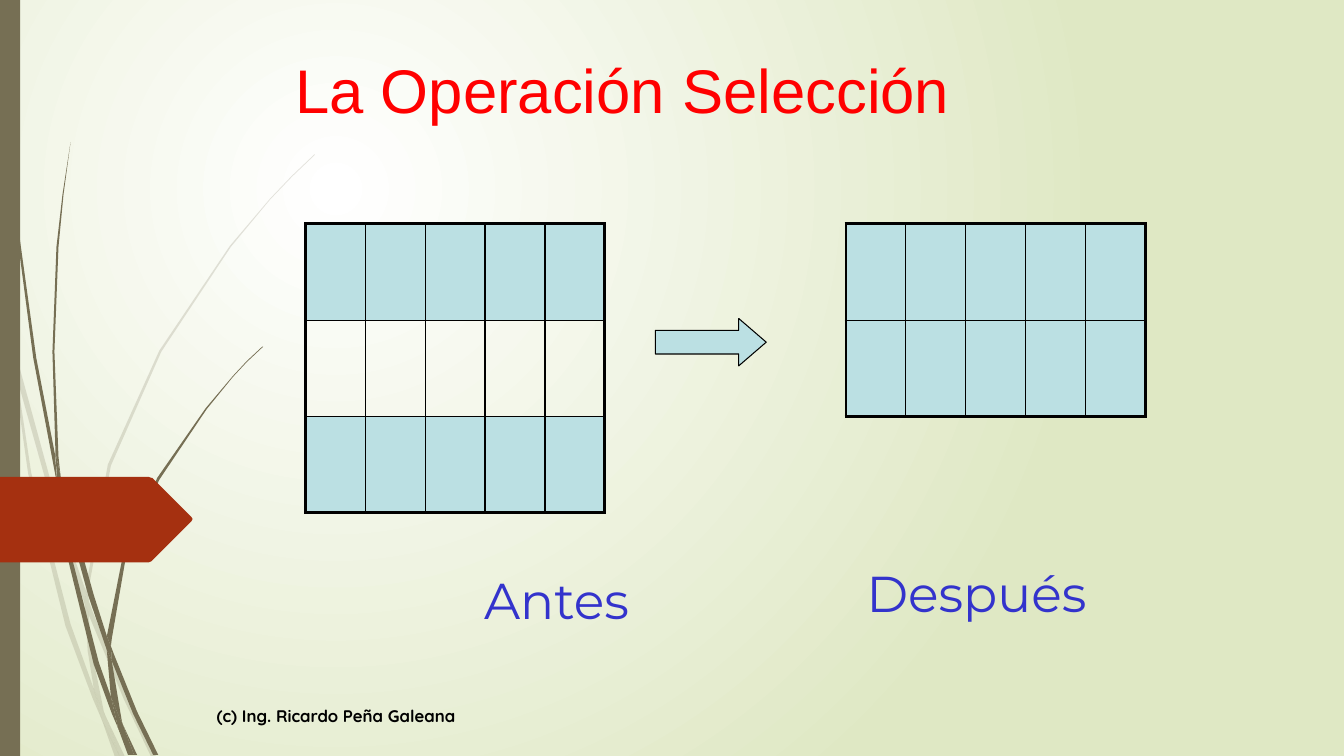
import lxml.etree
import pptx
import pptx.dml.color
import pptx.enum.shapes
import pptx.enum.text
import pptx.oxml.ns
import pptx.util

COLUMNS, ROWS = 1333, 750
WIDTH, HEIGHT = pptx.util.Inches(13.33), pptx.util.Inches(7.5)

# Outlines of the grass blades, in columns and rows of the grid
PALE_BLADES = [
    "11,350 9,322 0,282 0,299 10,344",
    "58,522 84,599 85,586 62,520 14,345 17,376",
    "92,607 88,596 88,610 123,694 150,751 155,751 127,692",
    "119,751 124,751 105,711",
    "93,683 70,619 31,469 17,376 11,350 28,470 65,621 92,693 101,714 99,707",
    "84,599 87,646 93,683 96,692 105,711 103,706 91,646 88,610 88,608",
    "88,584 110,462 160,349 229,245 268,198 290,175 312,154 312,153 289,175 "
    "268,197 228,244 158,348 107,461 85,584 85,586 88,596",
    "101,714 114,751 119,751",
    "88,608 88,610 88,596 85,586 84,599",
    "96,692 93,683 99,707 101,714 119,751 105,711",
]
DARK_BLADES = [
    "7,110 17,233 33,355 56,477 57,481 55,457 55,453 36,355 19,232 8,109 "
    "5,48 4,0 3,0 4,48",
    "88,592 106,645 106,633 106,631 93,590 60,472 64,505",
    "113,649 110,641 111,656 132,708 152,749 157,749 136,706",
    "110,691 98,657 72,556 64,505 57,477 68,557 93,659 111,708 117,722 116,717",
    "60,472 58,453 54,349 58,245 63,193 70,141 62,193 56,245 52,349 55,449",
    "133,749 136,749 122,719",
    "57,477 64,505 60,472 55,449 55,453",
    "111,633 125,552 158,476 205,406 231,374 245,359 261,344 260,344 245,358 "
    "231,373 204,405 156,474 122,551 106,631 110,641",
    "117,722 127,749 131,749",
    "106,645 110,691 116,706 122,719 121,716 111,656 109,651",
    "106,645 109,651 111,656 110,641 106,631 106,633",
    "116,706 110,691 116,717 117,722 130,749 133,749 122,719",
]
PAGE_MARKER = "147,558 150,557 151,556 190,517 191,515 190,513 151,474 150,474 147,473 0,473 0,558"


def color(value):
    return pptx.dml.color.RGBColor.from_string(value)


def add_element(parent, tag, **attributes):
    return lxml.etree.SubElement(parent, pptx.oxml.ns.qn(tag), attributes)


def insert_line(parent, position, tag, width, value):
    line = add_element(parent, tag, w=str(pptx.util.Pt(width)))
    add_element(add_element(line, "a:solidFill"), "a:srgbClr", val=value)
    parent.insert(position, line)


def set_alpha(element, percent):
    for hue in element.xpath(".//a:solidFill/a:srgbClr"):
        add_element(hue, "a:alpha", val=str(percent * 1000))


class SlideBuilder:
    ink, blue, olive, violet = "000000", "BBE0E3", "766F54", "3333CC"
    thin, thick = 1, 2.25

    def __init__(self, deck):
        self.page = deck.slides.add_slide(deck.slide_layouts[5])
        self.shapes = self.page.shapes

    def place(self, left, top, width, height):
        return [pptx.util.Emu(round(size)) for size in (
            left * WIDTH / COLUMNS, top * HEIGHT / ROWS,
            width * WIDTH / COLUMNS, height * HEIGHT / ROWS)]

    def background(self, inner, outer):
        fill = self.page.background.fill
        fill.gradient()
        for stop, value in zip(fill.gradient_stops, (inner, outer)):
            stop.color.rgb = color(value)
        gradient = self.page.element.xpath(".//p:bg//a:gradFill")[0]
        for linear in gradient.xpath("a:lin"):
            gradient.remove(linear)
        circle = add_element(gradient, "a:path", path="circle")
        add_element(circle, "a:fillToRect", l="50000", t="50000", r="100000", b="100000")

    def paint(self, shape, fill, line=None):
        shape.shadow.inherit = False
        shape.fill.solid()
        shape.fill.fore_color.rgb = color(fill)
        if line:
            shape.line.color.rgb = color(self.ink)
            shape.line.width = pptx.util.Pt(line)
        else:
            shape.line.fill.background()

    def outline(self, points, fill, shapes=None):
        corners = [tuple(map(int, point.split(","))) for point in points.split()]
        builder = (shapes or self.shapes).build_freeform(
            *corners[0], scale=(WIDTH / COLUMNS, HEIGHT / ROWS))
        builder.add_line_segments(corners[1:], close=True)
        shape = builder.convert_to_shape()
        self.paint(shape, fill)
        return shape

    def blades(self, outlines, opacity=100):
        group = self.shapes.add_group_shape()
        for points in outlines:
            blade = self.outline(points, self.olive, group.shapes)
            if opacity < 100:
                set_alpha(blade.element, opacity)

    def shape(self, kind, area, fill, line=None):
        shape = self.shapes.add_shape(kind, *self.place(*area))
        self.paint(shape, fill, line)
        return shape

    def set_text(self, box, text, font, size, fill, anchor, align, wrap=True, bold=False):
        frame = box.text_frame
        frame.text = text
        frame.word_wrap = wrap
        frame.auto_size = pptx.enum.text.MSO_AUTO_SIZE.NONE
        frame.vertical_anchor = anchor
        para = frame.paragraphs[0]
        para.alignment = align
        span = para.runs[0]
        span.font.name, span.font.size, span.font.bold = font, pptx.util.Pt(size), bold
        span.font.color.rgb = color(fill)

    def title(self, area, text):
        box = self.shapes.title
        box.left, box.top, box.width, box.height = self.place(*area)
        self.set_text(box, text, "Arial", 44, "FF0000",
                      pptx.enum.text.MSO_ANCHOR.BOTTOM, pptx.enum.text.PP_ALIGN.LEFT)

    def footer(self, area, text):
        box = self.shapes.add_textbox(*self.place(*area))
        self.set_text(box, text, "Quicksand", 12, self.ink, pptx.enum.text.MSO_ANCHOR.MIDDLE,
                      pptx.enum.text.PP_ALIGN.LEFT, bold=True)

    def caption(self, area, text):
        box = self.shapes.add_textbox(*self.place(*area))
        self.set_text(box, text, "Montserrat", 36, "B2B2B2", pptx.enum.text.MSO_ANCHOR.TOP,
                      pptx.enum.text.PP_ALIGN.CENTER, wrap=False)
        set_alpha(box.element, 50)
        # Letter outline
        insert_line(box.element.xpath(".//a:rPr")[0], 0, "a:ln", 1, self.violet)

    def relation(self, left, top, selected):
        """Draw a table whose rows are filled where selected is true."""
        columns, rows, row_height = 5, len(selected), 95.6
        frame = self.shapes.add_table(
            rows, columns, *self.place(left, top, 297, row_height * rows))
        table = frame.table
        table.first_row = table.horz_banding = False
        for index, cell in enumerate(table.iter_cells()):
            row, column = divmod(index, columns)
            if selected[row]:
                cell.fill.solid()
                cell.fill.fore_color.rgb = color(self.blue)
            else:
                cell.fill.background()
            # Thick lines on the outer edges
            properties = frame.element.xpath(".//a:tcPr")[index]
            edges = (column == 0, column == columns - 1, row == 0, row == rows - 1)
            for position, (side, edge) in enumerate(zip("LRTB", edges)):
                width = self.thick if edge else self.thin
                insert_line(properties, position, f"a:ln{side}", width, self.ink)


def main():
    deck = pptx.Presentation()
    deck.slide_width, deck.slide_height = WIDTH, HEIGHT
    slide = SlideBuilder(deck)
    shapes = pptx.enum.shapes.MSO_SHAPE

    # Backdrop
    slide.background("FFFFFF", "DFE8C4")
    slide.blades(PALE_BLADES, opacity=20)
    slide.blades(DARK_BLADES)
    slide.shape(shapes.RECTANGLE, (0, 0, 20, ROWS), slide.olive)
    slide.outline(PAGE_MARKER, "A53010")

    # Title and footer
    slide.footer((205, 690, 833, 40), "(c) Ing. Ricardo Peña Galeana")
    slide.title((283, 50, 869, 80), "La Operación Selección")

    # Relation before and after the selection
    slide.relation(303, 222, [True, False, True])
    slide.caption((477, 560, 150, 39), "Antes")
    slide.caption((878, 553, 181, 71), "Después")
    arrow = slide.shape(shapes.RIGHT_ARROW, (650, 316, 110, 47), slide.blue, line=0.75)
    arrow.adjustments[1] = 0.58
    slide.relation(839, 222, [True, True])

    deck.save("out.pptx")


if __name__ == "__main__":
    main()
